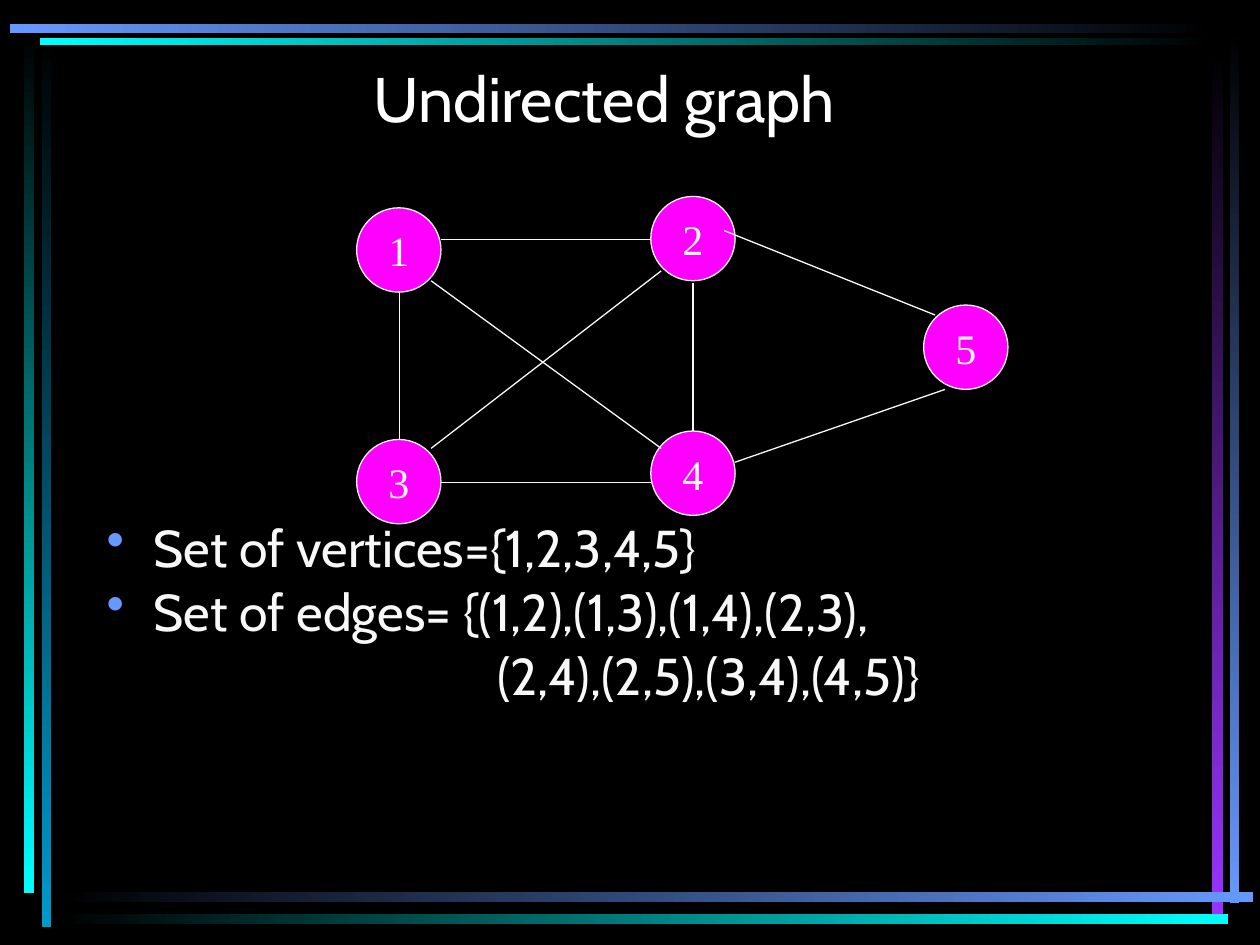
import lxml.etree
import pptx
import pptx.dml.color
import pptx.enum.shapes
import pptx.enum.text
import pptx.oxml.ns
import pptx.util

Cm, Pt = pptx.util.Cm, pptx.util.Pt
qn = pptx.oxml.ns.qn
SHAPE = pptx.enum.shapes.MSO_SHAPE
ALIGN = pptx.enum.text.PP_ALIGN
ANCHOR = pptx.enum.text.MSO_ANCHOR

COLORS = {
    "black": "000000", "white": "FFFFFF", "ink": "F8F8F8", "node": "FF00FF",
    "blue": "6699FF", "cyan": "00FFFF", "teal": "0099CC", "purple": "9933FF",
}
DOWN, RIGHT = 270, 0
NODE_SIZE = 1.7
INDENT = 0.95

# left, top, width, height, start colour, end colour, direction
FRAME_BARS = [
    (0.84, 0.71, 0.2, 17.98, "black", "teal", DOWN),
    (0.48, 0.64, 0.2, 17.37, "black", "cyan", DOWN),
    (24.79, 0.61, 0.18, 17.6, "black", "blue", DOWN),
    (24.43, 1.07, 0.23, 17.35, "black", "purple", DOWN),
    (1.14, 17.98, 24.13, 0.2, "black", "blue", RIGHT),
    (1.14, 18.42, 23.62, 0.2, "black", "cyan", RIGHT),
    (0.81, 0.76, 23.67, 0.15, "cyan", "black", RIGHT),
    (0.2, 0.48, 24.28, 0.18, "blue", "black", RIGHT),
]
NODES = {
    "1": (7.19, 4.19), "5": (18.62, 6.15), "2": (13.12, 3.96),
    "4": (13.12, 8.69), "3": (7.19, 8.86),
}
EDGES = [
    (8.05, 5.87, 8.05, 8.84),
    (8.89, 9.73, 13.12, 9.73),
    (13.97, 5.71, 13.97, 8.69),
    (8.89, 4.83, 13.12, 4.83),
    (8.69, 5.66, 13.33, 9.04),
    (8.69, 9.04, 13.33, 5.46),
    (14.6, 4.65, 18.85, 6.35),
    (14.81, 9.32, 19.05, 7.85),
]
# text, bullet, left margin
SETS = [
    ("Set of vertices={1,2,3,4,5}", True, INDENT),
    ("Set of edges= {(1,2),(1,3),(1,4),(2,3),", True, INDENT),
    ("(2,4),(2,5),(3,4),(4,5)}", False, 7.87),
]


def rgb(name):
    return pptx.dml.color.RGBColor.from_string(COLORS[name])


def add_bullet(p):
    pPr = p._p.get_or_add_pPr()
    pPr.set("indent", str(-Cm(INDENT)))
    clr = lxml.etree.SubElement(pPr, qn("a:buClr"))
    lxml.etree.SubElement(clr, qn("a:srgbClr"), val=COLORS["blue"])
    lxml.etree.SubElement(pPr, qn("a:buChar"), char="•")


def write(p, text, size, font="Cabin", color="ink", align=ALIGN.LEFT,
          bullet=False, margin=0):
    if bullet:
        add_bullet(p)
    if margin:
        p._p.get_or_add_pPr().set("marL", str(Cm(margin)))
    p.alignment = align
    r = p.add_run()
    r.text = text
    r.font.size = Pt(size)
    r.font.name = font
    r.font.color.rgb = rgb(color)


def add_text_box(s, left, top, width, height):
    tf = s.shapes.add_textbox(Cm(left), Cm(top), Cm(width), Cm(height)).text_frame
    tf.word_wrap = True
    return tf


def add_bar(s, left, top, width, height, start, end, angle):
    sp = s.shapes.add_shape(SHAPE.RECTANGLE, Cm(left), Cm(top), Cm(width), Cm(height))
    sp.shadow.inherit = False
    sp.line.fill.background()
    sp.fill.gradient()
    sp.fill.gradient_angle = angle
    for stop, color, position in zip(sp.fill.gradient_stops, (start, end), (0, 1)):
        stop.color.rgb = rgb(color)
        stop.position = position


def add_node(s, label, left, top):
    sp = s.shapes.add_shape(SHAPE.OVAL, Cm(left), Cm(top), Cm(NODE_SIZE), Cm(NODE_SIZE))
    sp.shadow.inherit = False
    sp.fill.solid()
    sp.fill.fore_color.rgb = rgb("node")
    sp.line.color.rgb = rgb("ink")
    sp.line.width = Pt(0.75)
    tf = sp.text_frame
    tf.word_wrap = False
    tf.vertical_anchor = ANCHOR.MIDDLE
    write(tf.paragraphs[0], label, 24, font="Times New Roman", align=ALIGN.CENTER)


def add_edge(s, x1, y1, x2, y2):
    line = s.shapes.add_connector(pptx.enum.shapes.MSO_CONNECTOR.STRAIGHT,
                                  Cm(x1), Cm(y1), Cm(x2), Cm(y2))
    line.line.color.rgb = rgb("ink")
    line.line.width = Pt(0.75)
    lxml.etree.SubElement(line._element.spPr, qn("a:effectLst"))


def add_sets(s):
    tf = add_text_box(s, 1.9, 10.52, 21.59, 6.14)
    for i, (text, bullet, margin) in enumerate(SETS):
        p = tf.add_paragraph() if i else tf.paragraphs[0]
        write(p, text, 29.6, bullet=bullet, margin=margin)
        p.line_spacing = 0.8
        if i:
            p.space_before = Pt(8)


def main():
    prs = pptx.Presentation()
    prs.slide_width, prs.slide_height = Cm(25.4), Cm(19.05)
    s = prs.slides.add_slide(prs.slide_layouts[6])
    s.background.fill.solid()
    s.background.fill.fore_color.rgb = rgb("black")

    for bar in FRAME_BARS:
        add_bar(s, *bar)
    title = add_text_box(s, 1.07, 1.07, 22.22, 2.34)
    write(title.paragraphs[0], "Undirected graph", 36, color="white", align=ALIGN.CENTER)
    add_sets(s)
    for label, (left, top) in NODES.items():
        add_node(s, label, left, top)
    for edge in EDGES:
        add_edge(s, *edge)
    prs.save("out.pptx")


if __name__ == "__main__":
    main()
